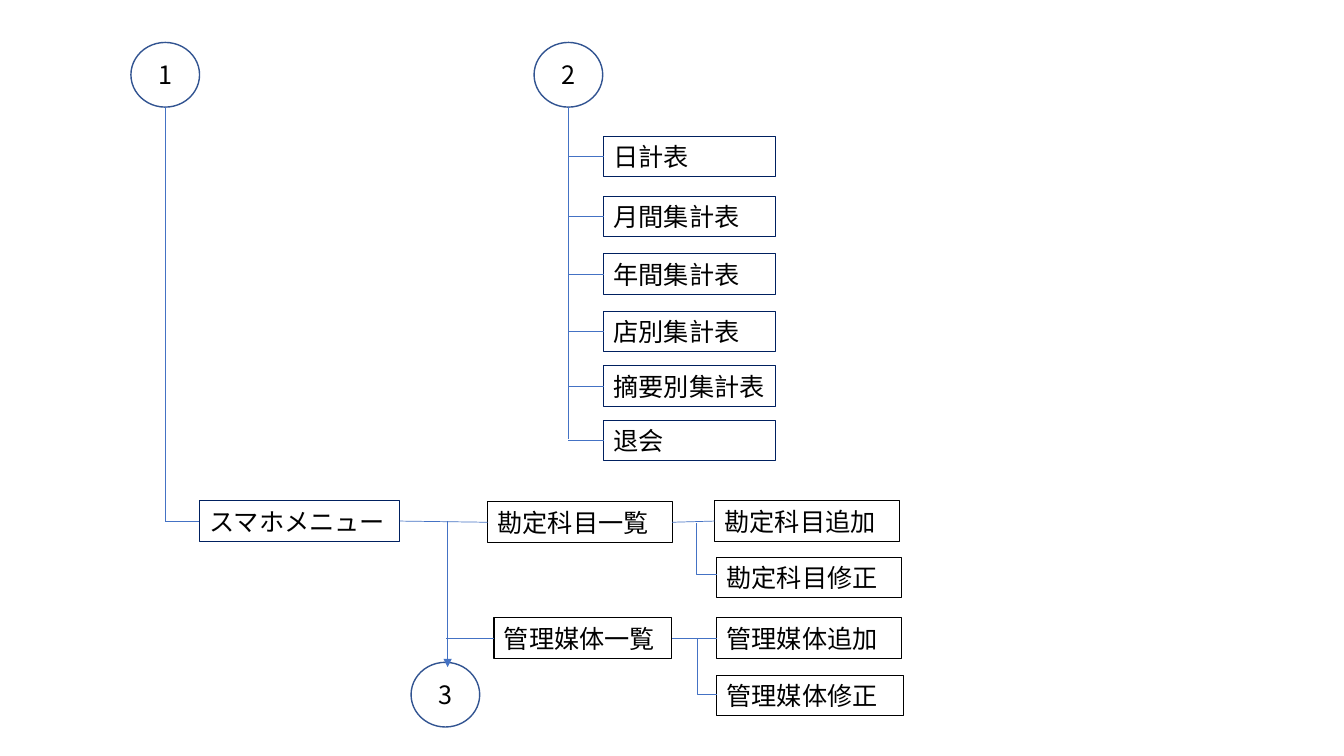
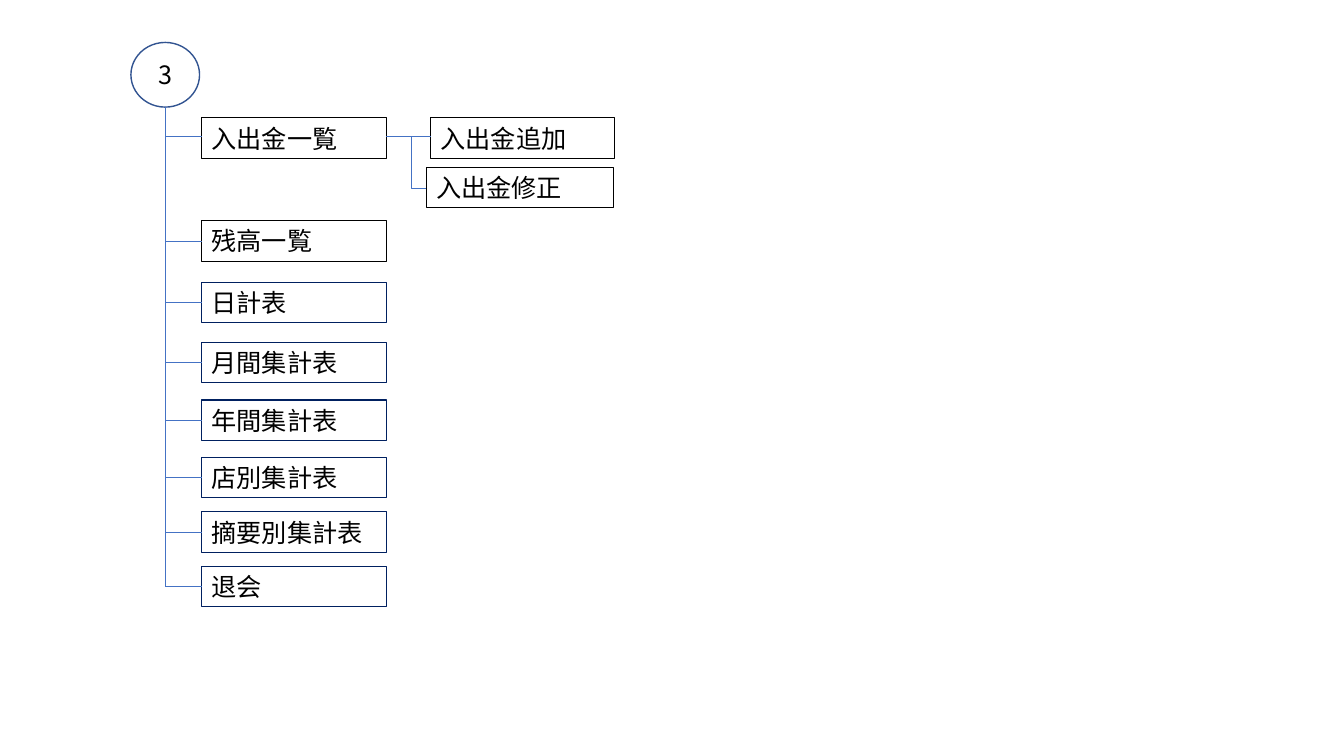
from lxml.etree import SubElement
from pptx import Presentation
from pptx.dml.color import RGBColor
from pptx.enum.shapes import MSO_CONNECTOR, MSO_SHAPE
from pptx.enum.text import MSO_ANCHOR, PP_ALIGN
from pptx.oxml.ns import qn
from pptx.util import Cm, Pt

BLACK = RGBColor(0, 0, 0)
NAVY = RGBColor(0x00, 0x20, 0x60)
BLUE = RGBColor(0x44, 0x72, 0xC4)
RING = RGBColor(0x32, 0x54, 0x91)
FONT = "Noto Sans CJK JP"
REPORTS = [("日計表", 0), ("月間集計表", 1.52), ("年間集計表", 2.97),
           ("店別集計表", 4.42), ("摘要別集計表", 5.79), ("退会", 7.16)]


def write(shape, text, size=18, color=BLACK, align=PP_ALIGN.LEFT):
    frame = shape.text_frame
    frame.word_wrap = True
    frame.vertical_anchor = MSO_ANCHOR.MIDDLE
    para = frame.paragraphs[0]
    para.alignment = align
    run = para.add_run()
    run.text = text
    run.font.size = Pt(size)
    run.font.name = FONT
    run.font.color.rgb = color
    SubElement(run.font._element, qn("a:ea"), typeface=FONT)


class Chart:
    high = 1.02
    wide = 4.65
    ring = (1.73, 1.63)

    def __init__(self, deck):
        self.deck = deck

    def page(self):
        self.slide = self.deck.slides.add_slide(self.deck.slide_layouts[6])

    def shape(self, kind, area, color, width):
        shape = self.slide.shapes.add_shape(kind, *map(Cm, area))
        shape.shadow.inherit = False
        shape.fill.background()
        shape.line.color.rgb = color
        shape.line.width = Pt(width)
        return shape

    def box(self, text, left, top, wide=wide, color=BLACK):
        area = (left, top, wide, self.high)
        write(self.shape(MSO_SHAPE.RECTANGLE, area, color, 0.75), text)

    def node(self, text, left, top):
        area = (left, top, *self.ring)
        shape = self.shape(MSO_SHAPE.FLOWCHART_CONNECTOR, area, RING, 1)
        write(shape, text, align=PP_ALIGN.CENTER)

    def line(self, start, end, kind=MSO_CONNECTOR.STRAIGHT, arrow=False):
        line = self.slide.shapes.add_connector(
            kind, *map(Cm, (*start, *end)))
        line.line.color.rgb = BLUE
        line.line.width = Pt(0.5)
        props = line._element.spPr
        if arrow:
            SubElement(props.find(qn("a:ln")), qn("a:tailEnd"), type="triangle")
        SubElement(props, qn("a:effectLst"))
        return line

    def bend(self, start, end):
        line = self.line(start, end, MSO_CONNECTOR.ELBOW)
        geom = line._element.spPr.find(qn("a:prstGeom"))
        marks = geom.find(qn("a:avLst"))
        if marks is None:
            marks = SubElement(geom, qn("a:avLst"))
        SubElement(marks, qn("a:gd"), name="adj1", fmla="val 0")

    def root(self, text, left, end, top=1.07):
        self.node(text, left, top)
        mid = left + self.ring[0] / 2
        self.line((mid, top + self.ring[1]), (mid, end))
        return mid

    def list(self, stem, left, top, wide):
        for text, gap in REPORTS:
            self.box(text, left, top + gap, wide, NAVY)
            mid = top + gap + self.high / 2
            self.line((left, mid), (stem, mid))


deck = Presentation()
deck.slide_width = Cm(33.87)
deck.slide_height = Cm(19.05)
chart = Chart(deck)

chart.page()
stem = chart.root("2", 13.46, 11.07)
chart.list(stem, 15.21, 3.43, 4.34)
stem = chart.root("1", 3.3, 13.13)
chart.line((5.03, 13.13), (stem, 13.13))
chart.box("スマホメニュー", 5.03, 12.62, 5.05, NAVY)
chart.box("勘定科目一覧", 12.29, 12.65)
chart.box("勘定科目追加", 18.01, 12.62)
chart.box("勘定科目修正", 18.06, 14.05)
chart.box("管理媒体一覧", 12.45, 15.57, 4.47)
chart.box("管理媒体追加", 18.06, 15.57)
chart.box("管理媒体修正", 18.06, 17.02, 4.72)
chart.line((12.29, 13.16), (10.08, 13.13))
chart.line((12.45, 16.08), (11.23, 16.08))
chart.line((16.94, 13.16), (18.01, 13.13))
chart.bend((17.55, 13.18), (18.06, 14.48))
chart.line((16.94, 16.08), (18.06, 16.08))
chart.bend((17.58, 16.08), (18.06, 17.5))
chart.node("3", 10.36, 16.69)
chart.line((11.28, 13.13), (11.28, 16.81), arrow=True)

chart.page()
stem = chart.root("3", 3.3, 14.78)
chart.box("入出金一覧", 5.08, 2.97)
chart.box("入出金追加", 10.85, 2.97)
chart.box("入出金修正", 10.74, 4.22, 4.72)
chart.box("残高一覧", 5.08, 5.56)
for mid in (3.43, 6.07):
    chart.line((5.08, mid), (stem, mid))
chart.line((9.73, 3.43), (10.87, 3.43))
chart.bend((10.36, 3.43), (10.74, 4.75))
chart.list(stem, 5.08, 7.11, Chart.wide)

deck.save("out.pptx")
